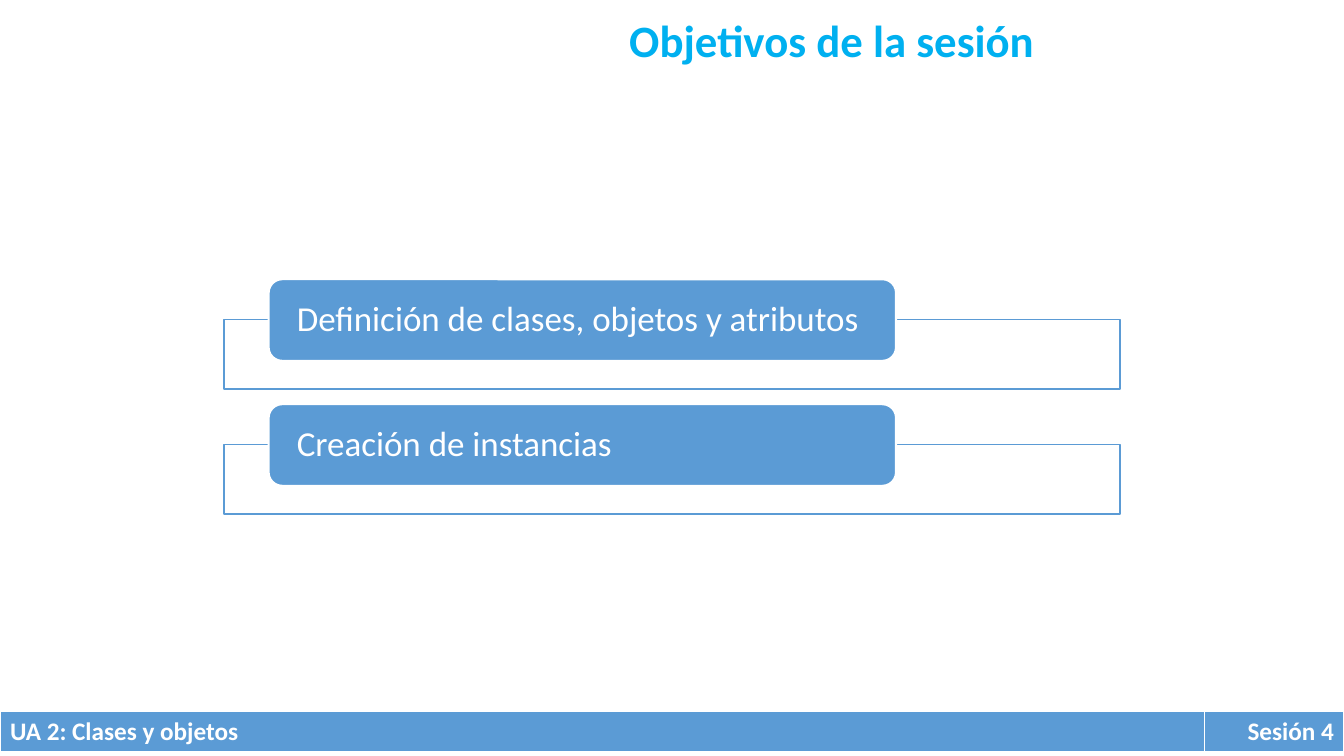
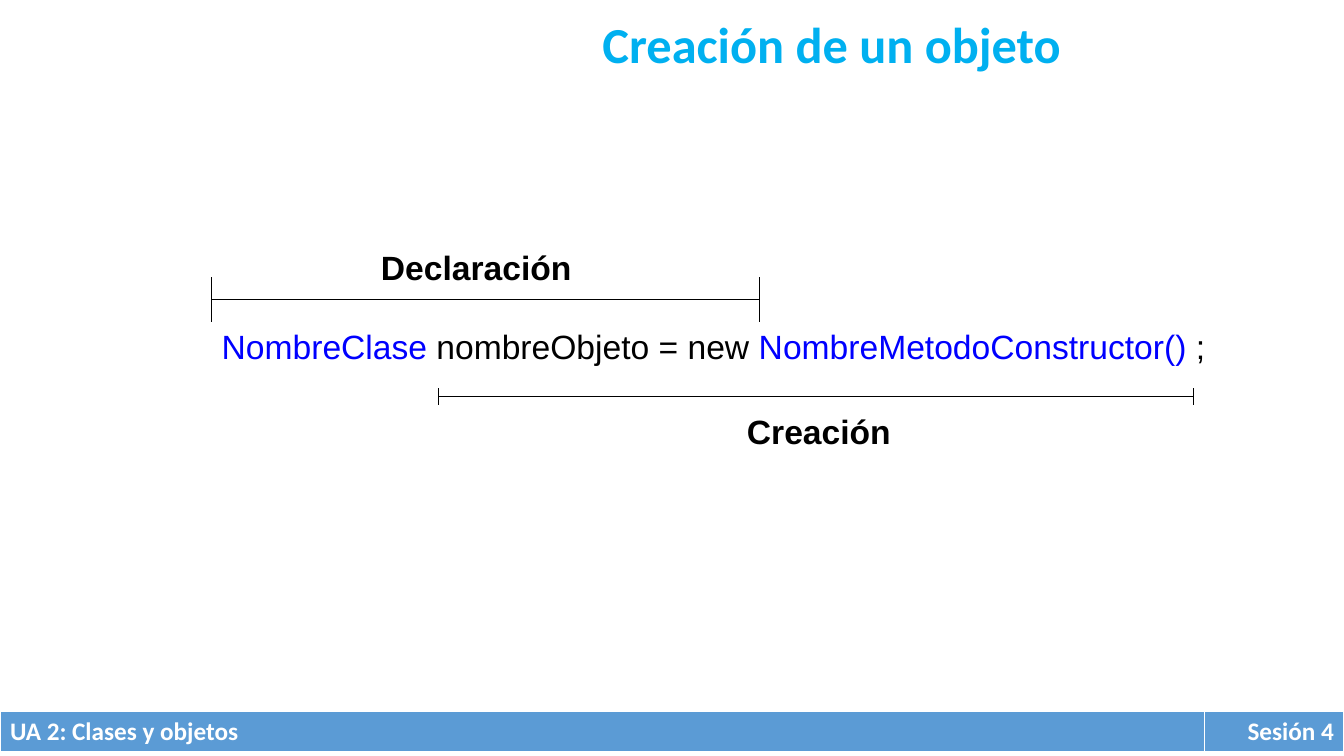
from lxml.etree import SubElement
from pptx import Presentation
from pptx.dml.color import RGBColor
from pptx.enum.shapes import MSO_CONNECTOR, MSO_SHAPE
from pptx.enum.text import MSO_ANCHOR, MSO_AUTO_SIZE, PP_ALIGN
from pptx.oxml import parse_xml
from pptx.oxml.ns import nsdecls, qn
from pptx.util import Inches, Pt

COLORS = {
    "title": "00B0F0",
    "accent": "5B9BD5",
    "white": "FFFFFF",
    "black": "000000",
    "code": "0000FF",
}
TITLE_ONLY = 5


def rgb(name):
    return RGBColor.from_string(COLORS[name])


def add_run(paragraph, text, size, color, font="Calibri", bold=False):
    run = paragraph.add_run()
    run.text = text
    run.font.name = font
    run.font.size = Pt(size)
    run.font.bold = bold
    run.font.color.rgb = rgb(color)


# Shared title and footer
def add_title(slide, text, size, height):
    title = slide.shapes.title
    title.left, title.top = Inches(3.17), Inches(0.08)
    title.width, title.height = Inches(10.16), Inches(height)
    frame = title.text_frame
    frame.word_wrap = True
    frame.auto_size = MSO_AUTO_SIZE.NONE
    frame.vertical_anchor = MSO_ANCHOR.TOP
    frame.margin_left = frame.margin_right = Inches(0.2)
    frame.margin_top = frame.margin_bottom = Inches(0.05)
    paragraph = frame.paragraphs[0]
    paragraph.alignment = PP_ALIGN.CENTER
    add_run(paragraph, text, size, "title", bold=True)


def set_borders(cell):
    properties = cell._tc.get_or_add_tcPr()
    for index, (side, width) in enumerate((("L", 1), ("R", 1), ("T", 1), ("B", 3))):
        properties.insert(index, parse_xml(
            f'<a:ln{side} {nsdecls("a")} w="{Pt(width)}"><a:solidFill>'
            f'<a:srgbClr val="{COLORS["white"]}"/></a:solidFill></a:ln{side}>'))


def add_footer(slide):
    band = slide.shapes.add_table(
        1, 2, Inches(0), Inches(7.06), Inches(13.33), Inches(0.41)).table
    parts = (("UA 2: Clases y objetos", 11.95, PP_ALIGN.LEFT),
             ("Sesión 4", 1.38, PP_ALIGN.RIGHT))
    for column, (text, width, alignment) in enumerate(parts):
        band.columns[column].width = Inches(width)
        cell = band.cell(0, column)
        cell.fill.solid()
        cell.fill.fore_color.rgb = rgb("accent")
        set_borders(cell)
        paragraph = cell.text_frame.paragraphs[0]
        paragraph.alignment = alignment
        add_run(paragraph, text, 18, "white", bold=True)


def add_slide(deck, title, size, title_height):
    slide = deck.slides.add_slide(deck.slide_layouts[TITLE_ONLY])
    add_title(slide, title, size, title_height)
    add_footer(slide)
    return slide


# Objectives
def add_box(slide, preset, left, top, width, height, fill, line, line_width):
    box = slide.shapes.add_shape(
        preset, Inches(left), Inches(top), Inches(width), Inches(height))
    box.shadow.inherit = False
    box.fill.solid()
    box.fill.fore_color.rgb = rgb(fill)
    box.line.color.rgb = rgb(line)
    box.line.width = Pt(line_width)
    return box


def add_objective(slide, text, left, top, width):
    frame_box = add_box(slide, MSO_SHAPE.RECTANGLE, left, top + 0.4, width, 0.69,
                        "white", "accent", 1)
    fill_color = frame_box.fill._xPr.find(qn("a:solidFill"))[0]
    SubElement(fill_color, qn("a:alpha"), val="90000")

    label = add_box(slide, MSO_SHAPE.ROUNDED_RECTANGLE, left + width * 0.05, top,
                    width * 0.7, 0.81, "accent", "white", 1.5)
    frame = label.text_frame
    frame.word_wrap = True
    frame.vertical_anchor = MSO_ANCHOR.MIDDLE
    frame.margin_left = frame.margin_right = Inches(0.24)
    frame.margin_top = frame.margin_bottom = 0
    paragraph = frame.paragraphs[0]
    paragraph.alignment = PP_ALIGN.LEFT
    paragraph.line_spacing = 0.9
    add_run(paragraph, text, 25, "white")


def build_objectives(deck):
    slide = add_slide(deck, "Objetivos de la sesión", 32, 0.64)
    objectives = ("Definición de clases, objetos y atributos",
                  "Creación de instancias")
    for row, text in enumerate(objectives):
        add_objective(slide, text, 2.22, 2.77 + row * 1.24, 8.89)


# Object creation
def add_line(slide, x1, y1, x2, y2):
    line = slide.shapes.add_connector(
        MSO_CONNECTOR.STRAIGHT, Inches(x1), Inches(y1), Inches(x2), Inches(y2))
    line.line.color.rgb = rgb("black")
    line.line.width = Pt(1)
    SubElement(line._element.spPr, qn("a:effectLst"))


def add_bracket(slide, left, top, width, height):
    middle, right = top + height / 2, left + width
    add_line(slide, left, middle, right, middle)
    for end in (left, right):
        add_line(slide, end, top, end, top + height)


def add_text(slide, runs, left, top, width, bold=False, wrap=False):
    box = slide.shapes.add_textbox(
        Inches(left), Inches(top), Inches(width), Inches(0.5))
    box.text_frame.word_wrap = wrap
    for text, color in runs:
        add_run(box.text_frame.paragraphs[0], text, 24, color, "Arial", bold)


def build_creation(deck):
    slide = add_slide(deck, "Creación de un objeto", 36, 0.71)
    add_bracket(slide, 2.1, 2.75, 5.43, 0.44)
    add_bracket(slide, 4.35, 3.85, 7.49, 0.17)
    add_text(slide, [("Declaración", "black")], 3.68, 2.4, 2.11, bold=True)
    add_text(slide, [("Creación", "black")], 7.31, 4.03, 1.64, bold=True)
    statement = [("NombreClase", "code"), (" nombreObjeto = new ", "black"),
                 ("NombreMetodoConstructor()", "code"), (" ;", "black")]
    add_text(slide, statement, 2.1, 3.18, 9.98, wrap=True)


def main():
    deck = Presentation()
    deck.slide_width, deck.slide_height = Inches(13.33), Inches(7.5)
    build_objectives(deck)
    build_creation(deck)
    deck.save("out.pptx")


if __name__ == "__main__":
    main()
